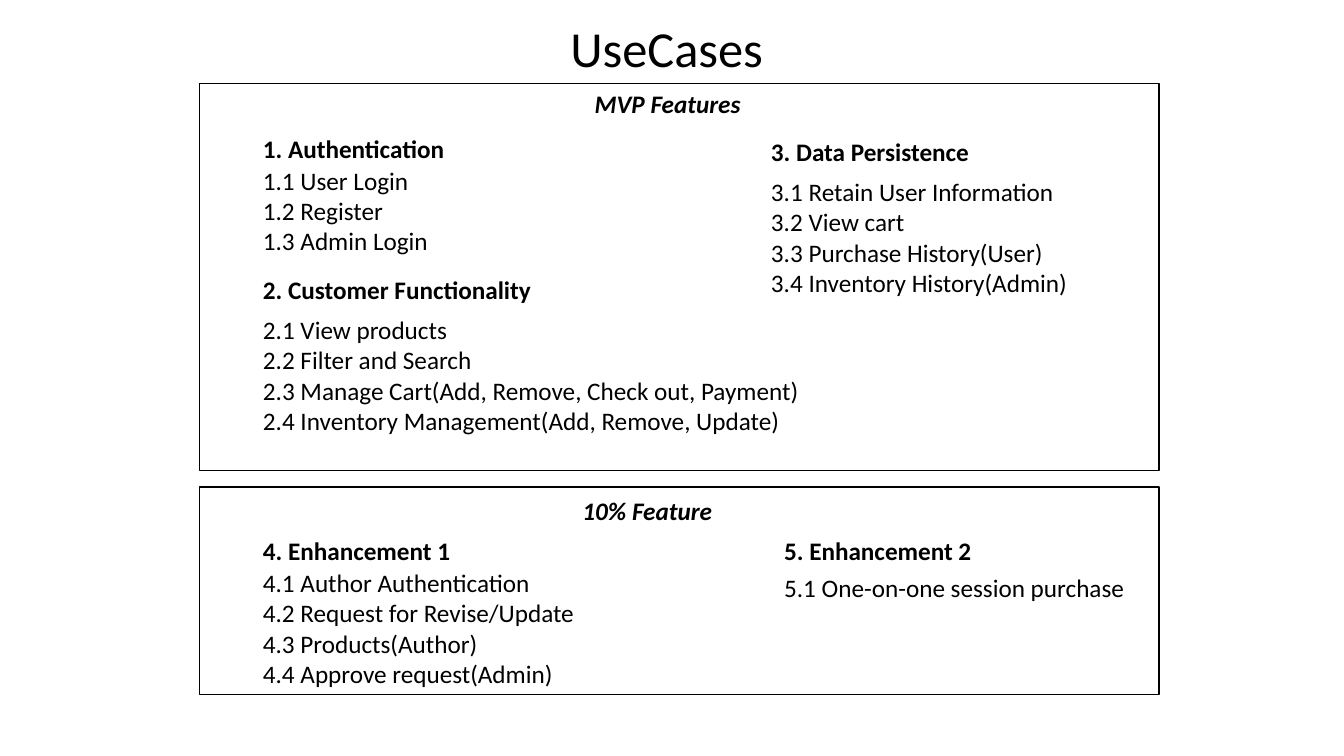
from pptx import Presentation
from pptx.dml.color import RGBColor
from pptx.enum.shapes import MSO_SHAPE
from pptx.enum.text import MSO_AUTO_SIZE, PP_ALIGN
from pptx.util import Pt

COLORS = {"text": "000000", "line": "000000", "fill": "FFFFFF"}
FONT = "Calibri"
TITLE = {"size": Pt(36)}
BODY = {"size": Pt(18)}
HEADING = {**BODY, "bold": True}
BANNER = {**HEADING, "italic": True}

FRAME_LEFT, FRAME_WIDTH = 142.6, 685.4
LEFT_COLUMN = 180.7

# left, heading top, heading width, heading, list top, list width, list lines
GROUPS = [
    (LEFT_COLUMN, 91.4, 148.3, "1. Authentication", 114.5, 141.8,
     ["1.1 User Login", "1.2 Register", "1.3 Admin Login"]),
    (LEFT_COLUMN, 192.2, 219.6, "2. Customer Functionality", 221, 414,
     ["2.1 View products", "2.2 Filter and Search",
      "2.3 Manage Cart(Add, Remove, Check out, Payment)",
      "2.4 Inventory Management(Add, Remove, Update)"]),
    (543.6, 93.6, 164.2, "3. Data Persistence", 122.4, 231.1,
     ["3.1 Retain User Information", "3.2 View cart",
      "3.3 Purchase History(User)", "3.4 Inventory History(Admin)"]),
    (LEFT_COLUMN, 378.7, 154.8, "4. Enhancement 1", 401.8, 257,
     ["4.1 Author Authentication", "4.2 Request for Revise/Update",
      "4.3 Products(Author)", "4.4 Approve request(Admin)"]),
    (553, 378.7, 161.3, "5. Enhancement 2", 405.4, 262.1,
     ["5.1 One-on-one session purchase"]),
]


def color(name):
    return RGBColor.from_string(COLORS[name])


def add_frame(page, top, height):
    frame = page.shapes.add_shape(MSO_SHAPE.RECTANGLE, Pt(FRAME_LEFT), Pt(top),
                                  Pt(FRAME_WIDTH), Pt(height))
    frame.shadow.inherit = False
    frame.fill.solid()
    frame.fill.fore_color.rgb = color("fill")
    frame.line.color.rgb = color("line")
    frame.line.width = Pt(1)


def add_text(page, left, top, width, lines, style):
    """Add a text box with one paragraph per line, as tall as its lines."""
    height = 7.2 + 1.22 * style["size"].pt * len(lines)
    box = page.shapes.add_textbox(Pt(left), Pt(top), Pt(width), Pt(height))
    frame = box.text_frame
    frame.word_wrap = True
    frame.auto_size = MSO_AUTO_SIZE.SHAPE_TO_FIT_TEXT
    for index, line in enumerate(lines):
        para = frame.add_paragraph() if index else frame.paragraphs[0]
        para.alignment = PP_ALIGN.LEFT
        span = para.add_run()
        span.text = line
        span.font.color.rgb = color("text")
        for name, value in {"name": FONT, **style}.items():
            setattr(span.font, name, value)


def main():
    deck = Presentation()
    deck.slide_width, deck.slide_height = Pt(960), Pt(540)
    page = deck.slides.add_slide(deck.slide_layouts[6])

    add_frame(page, 347.8, 148.3)
    add_frame(page, 59.8, 276.5)
    add_text(page, 400.3, 8.6, 159.8, ["UseCases"], TITLE)
    add_text(page, 417.6, 59.8, 132.5, ["MVP Features"], BANNER)
    add_text(page, 409, 349.9, 144, ["10% Feature"], BANNER)
    for left, top, width, heading, list_top, list_width, lines in GROUPS:
        add_text(page, left, top, width, [heading], HEADING)
        add_text(page, left, list_top, list_width, lines, BODY)

    deck.save("out.pptx")


if __name__ == "__main__":
    main()
